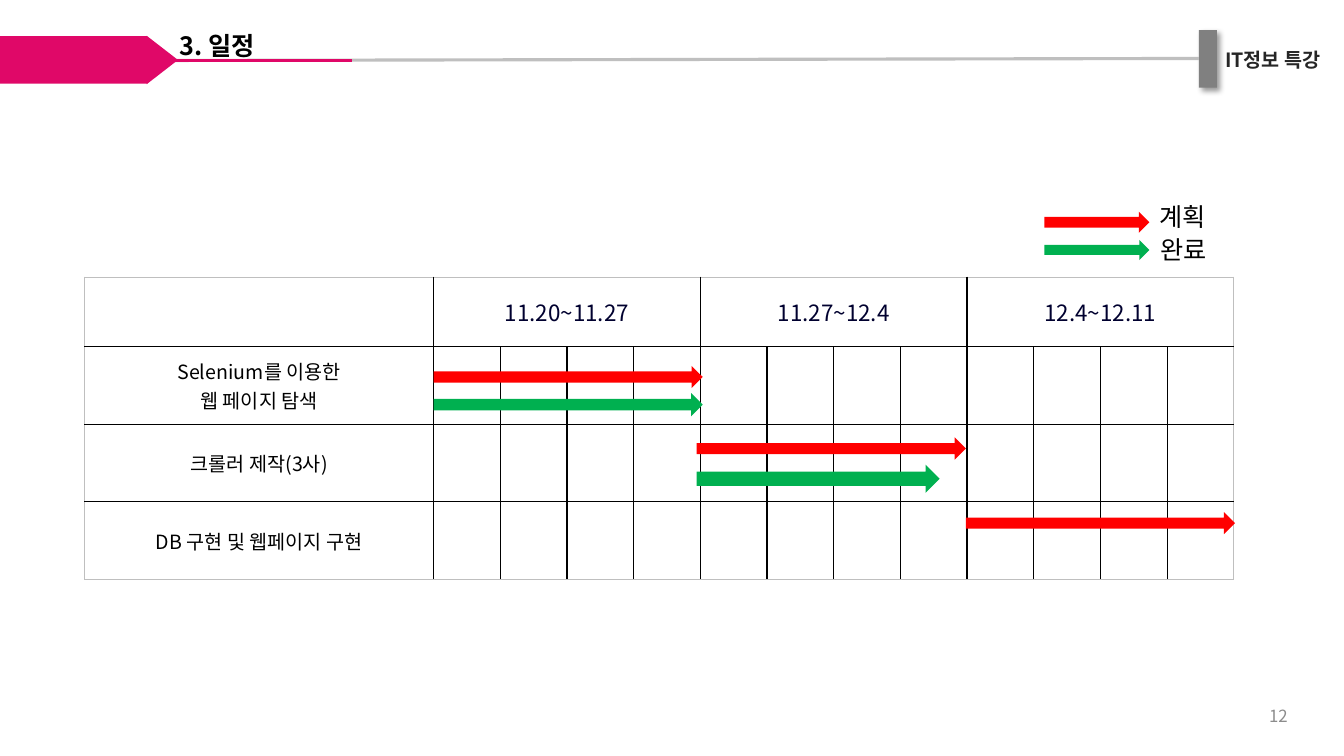
from lxml.etree import SubElement
from pptx import Presentation
from pptx.dml.color import RGBColor
from pptx.enum.shapes import MSO_CONNECTOR, MSO_SHAPE as SHAPE
from pptx.enum.text import MSO_ANCHOR as ANCHOR, PP_ALIGN as ALIGN
from pptx.oxml.ns import qn
from pptx.util import Inches, Pt

COLORS = {
    "black": "000000", "white": "FFFFFF", "brand": "E00868", "bar": "808080",
    "rule": "BFBFBF", "header": "00002F", "course": "262626", "number": "8C8C8C",
    "plan": "FF0000", "done": "00B050",
}
FONT = "Noto Sans CJK KR"
LABEL_WIDTH, WEEKS, DAYS_PER_WEEK = 3.46, 3, 4
DAY_WIDTH = 7.94 / (WEEKS * DAYS_PER_WEEK)
HEADER_HEIGHT, TASK_HEIGHT = 0.69, 0.77
PERIODS = ["11.20~11.27", "11.27~12.4", "12.4~12.11"]
TASKS = [["Selenium를 이용한", "웹 페이지 탐색"], ["크롤러 제작(3사)"],
         ["DB 구현 및 웹페이지 구현"]]
ARROWS = [
    ("plan", 10.36, 2.1, 1.04, 0.21), ("done", 10.36, 2.38, 1.04, 0.2),
    ("done", 4.3, 3.9, 2.67, 0.23), ("plan", 4.3, 3.63, 2.67, 0.22),
    ("plan", 9.58, 5.08, 2.67, 0.22), ("plan", 6.91, 4.34, 2.67, 0.22),
    ("done", 6.91, 4.61, 2.41, 0.28),
]


def rgb(color):
    return RGBColor.from_string(COLORS[color])


def inches(*lengths):
    return [Inches(length) for length in lengths]


class SlideBuilder:
    def __init__(self, slide):
        self.slide = slide
        self.shapes = slide.shapes

    def set_text(self, frame, lines, size, color, align=ALIGN.LEFT, bold=False):
        frame.text = "\n".join(lines)
        for paragraph in frame.paragraphs:
            paragraph.alignment = align
            font = paragraph.font
            font.name, font.size, font.bold = FONT, Pt(size), bold
            font.color.rgb = rgb(color)
            # Korean glyphs follow the East Asian typeface
            defaults = paragraph._p.pPr.find(qn("a:defRPr"))
            SubElement(defaults, qn("a:ea"), typeface=FONT)

    def title(self, text, *box):
        title = self.shapes.title
        title.left, title.top, title.width, title.height = inches(*box)
        frame = title.text_frame
        frame.vertical_anchor = ANCHOR.TOP
        self.set_text(frame, [text], 18, "black", bold=True)
        frame.paragraphs[0].line_spacing = 0.9
        frame.paragraphs[0].space_before = Pt(10)

    def text(self, text, box, size, color, align=ALIGN.LEFT, bold=False, anchor=ANCHOR.TOP):
        frame = self.shapes.add_textbox(*inches(*box)).text_frame
        frame.word_wrap = True
        frame.vertical_anchor = anchor
        self.set_text(frame, [text], size, color, align, bold)

    def shape(self, kind, color, *box):
        shape = self.shapes.add_shape(kind, *inches(*box))
        shape.shadow.inherit = False
        shape.fill.solid()
        shape.fill.fore_color.rgb = rgb(color)
        shape.line.fill.background()
        return shape

    def shadowed_bar(self, *box):
        bar = self.shape(SHAPE.RECTANGLE, "bar", *box)
        effects = bar._element.spPr.find(qn("a:effectLst"))
        shadow = SubElement(effects, qn("a:outerShdw"), blurRad=str(Pt(4)),
                            dist=str(Pt(3)), dir="2700000", algn="tl", rotWithShape="0")
        tint = SubElement(shadow, qn("a:srgbClr"), val=COLORS["black"])
        SubElement(tint, qn("a:alpha"), val="40000")

    def line(self, color, *ends):
        line = self.shapes.add_connector(MSO_CONNECTOR.STRAIGHT, *inches(*ends))
        line.line.color.rgb = rgb(color)
        line.line.width = Pt(2.25)
        SubElement(line._element.spPr, qn("a:effectLst"))

    def borders(self, cell, outer_sides):
        """Draw all four sides, with those on the table's edge in grey."""
        properties = cell._tc.get_or_add_tcPr()
        for side in "LRTB":
            border = SubElement(properties, qn(f"a:ln{side}"), w=str(Pt(1)))
            fill = SubElement(border, qn("a:solidFill"))
            color = COLORS["rule" if side in outer_sides else "black"]
            SubElement(fill, qn("a:srgbClr"), val=color)

    def schedule(self, left, top):
        rows, cols = 1 + len(TASKS), 1 + WEEKS * DAYS_PER_WEEK
        width = LABEL_WIDTH + DAY_WIDTH * (cols - 1)
        height = HEADER_HEIGHT + TASK_HEIGHT * len(TASKS)
        table = self.shapes.add_table(rows, cols, *inches(left, top, width, height)).table
        table.first_row = table.horz_banding = False
        for index, column in enumerate(table.columns):
            column.width = Inches(DAY_WIDTH if index else LABEL_WIDTH)
        for index, row in enumerate(table.rows):
            row.height = Inches(TASK_HEIGHT if index else HEADER_HEIGHT)

        for week, period in enumerate(PERIODS):
            first = 1 + week * DAYS_PER_WEEK
            cell = table.cell(0, first)
            cell.merge(table.cell(0, first + DAYS_PER_WEEK - 1))
            self.set_text(cell.text_frame, [period], 16, "header", ALIGN.CENTER)
        for row, task in enumerate(TASKS, 1):
            self.set_text(table.cell(row, 0).text_frame, task, 14, "black", ALIGN.CENTER)

        for row in range(rows):
            for col in range(cols):
                cell = table.cell(row, col)
                if cell.is_spanned:
                    continue
                last_col = col + cell.span_width - 1 if cell.is_merge_origin else col
                edges = {"L": col == 0, "R": last_col == cols - 1,
                         "T": row == 0, "B": row == rows - 1}
                self.borders(cell, [side for side, outer in edges.items() if outer])
                cell.fill.background()
                cell.vertical_anchor = ANCHOR.MIDDLE


def main():
    deck = Presentation()
    deck.slide_width, deck.slide_height = inches(13.33, 7.5)
    page = SlideBuilder(deck.slides.add_slide(deck.slide_layouts[5]))
    page.slide.background.fill.solid()
    page.slide.background.fill.fore_color.rgb = rgb("white")

    page.text("IT정보 특강", (11.89, 0.43, 1.47, 0.34), 14, "course", ALIGN.CENTER, bold=True)
    page.shadowed_bar(11.89, 0.3, 0.18, 0.57)
    page.line("rule", 1.63, 0.6, 11.89, 0.58)
    page.line("brand", 1.67, 0.6, 3.49, 0.6)
    page.shape(SHAPE.RECTANGLE, "brand", 0, 0.36, 1.46, 0.47)
    page.shape(SHAPE.ISOSCELES_TRIANGLE, "brand", 1.37, 0.44, 0.48, 0.31).rotation = 90
    page.title("3. 일정", 1.68, 0.28, 5.43, 0.6)

    page.schedule(0.84, 2.75)
    for status, *box in ARROWS:
        page.shape(SHAPE.RIGHT_ARROW, status, *box)
    page.text("계획", (11.4, 1.95, 0.83, 0.41), 18, "black")
    page.text("완료", (11.41, 2.28, 0.83, 0.41), 18, "black")
    page.text("12", (9.87, 6.9, 3, 0.4), 12, "number", ALIGN.RIGHT, anchor=ANCHOR.MIDDLE)
    deck.save("out.pptx")


if __name__ == "__main__":
    main()
